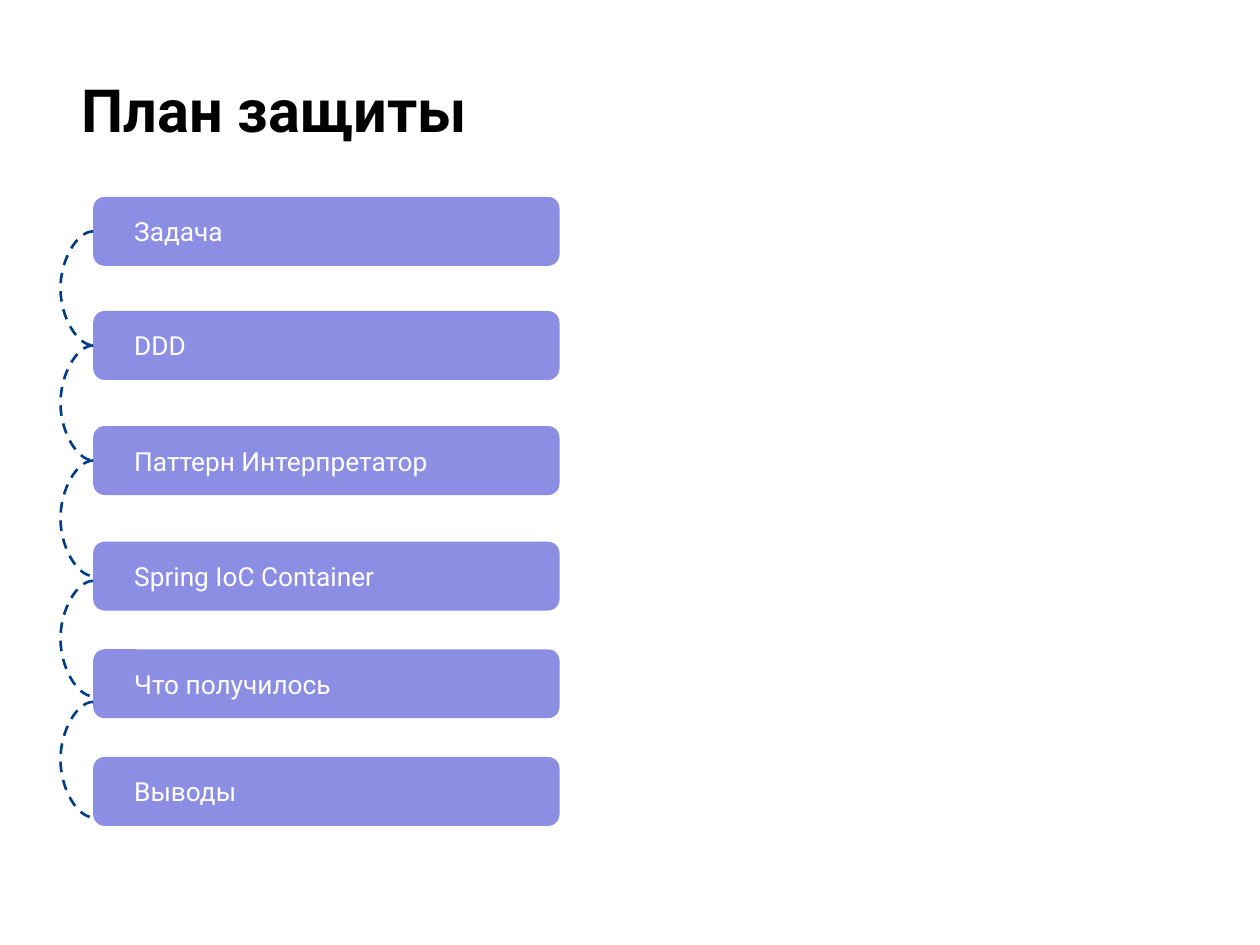
from itertools import pairwise

from lxml import etree
from pptx import Presentation
from pptx.dml.color import RGBColor
from pptx.enum.dml import MSO_LINE_DASH_STYLE as Dash
from pptx.enum.shapes import MSO_CONNECTOR as Connector, MSO_SHAPE as Shape
from pptx.enum.text import MSO_ANCHOR as Anchor, PP_ALIGN as Align
from pptx.oxml.ns import qn
from pptx.util import Cm, Pt

TITLE = "План защиты"
# Each topic with the top of its bar, in cm
TOPICS = [
    ("Задача", 3.97),
    ("DDD", 6.27),
    ("Паттерн Интерпретатор", 8.59),
    ("Spring IoC Container", 10.92),
    ("Что получилось", 13.09),
    ("Выводы", 15.26),
]
LOWER_ARCS = [(11.71, 14.04), (14.15, 16.48)]

COLORS = {"title": "000000", "bar": "8B8EE3", "topic": "FFFFFF", "arc": "013D85"}
FONT = "Roboto"
BAR_LEFT, BAR_WIDTH, BAR_HEIGHT = 1.88, 9.4, 1.39
ARC_WIDTH, ARC_BULGE = 0.01, 0.66


def color(part):
    return RGBColor.from_string(COLORS[part])


def write(box, words, size, part, side_inset, bold=False):
    frame = box.text_frame
    frame.word_wrap = True
    frame.margin_left = frame.margin_right = Cm(side_inset)
    frame.margin_top = frame.margin_bottom = Cm(0.25)
    frame.text = words
    paragraph = frame.paragraphs[0]
    paragraph.alignment = Align.LEFT
    font = paragraph.runs[0].font
    font.name, font.size, font.bold = FONT, Pt(size), bold
    font.color.rgb = color(part)
    return frame


def add_bar(slide, topic, top):
    bar = slide.shapes.add_shape(
        Shape.ROUNDED_RECTANGLE, Cm(BAR_LEFT), Cm(top), Cm(BAR_WIDTH), Cm(BAR_HEIGHT))
    bar.shadow.inherit = False
    bar.fill.solid()
    bar.fill.fore_color.rgb = color("bar")
    bar.line.fill.background()
    write(bar, topic, 15, "topic", 0.76).vertical_anchor = Anchor.MIDDLE


def add_arc(slide, start, end):
    """Dashed curve that bulges to the left of the bars."""
    arc = slide.shapes.add_connector(
        Connector.CURVE, Cm(BAR_LEFT), Cm(start), Cm(BAR_LEFT + ARC_WIDTH), Cm(end))
    arc.line.color.rgb = color("arc")
    arc.line.width = Pt(1.5)
    arc.line.dash_style = Dash.DASH
    properties = arc._element.spPr
    etree.SubElement(properties, qn("a:effectLst"))
    guides = properties.find(qn("a:prstGeom")).get_or_add_avLst()
    bulge = round(-ARC_BULGE / ARC_WIDTH * 100000)
    etree.SubElement(guides, qn("a:gd"), name="adj1", fmla=f"val {bulge}")


def main():
    deck = Presentation()
    deck.slide_width, deck.slide_height = Cm(25.4), Cm(19.05)
    slide = deck.slides.add_slide(deck.slide_layouts[6])

    title = slide.shapes.add_textbox(Cm(1.4), Cm(1.22), Cm(23.67), Cm(2.08))
    write(title, TITLE, 34, "title", 0.25, bold=True)

    for topic, top in TOPICS:
        add_bar(slide, topic, top)

    middles = [top + BAR_HEIGHT / 2 for _, top in TOPICS[:4]]
    for start, end in [*pairwise(middles), *LOWER_ARCS]:
        add_arc(slide, start, end)

    deck.save("out.pptx")


if __name__ == "__main__":
    main()
